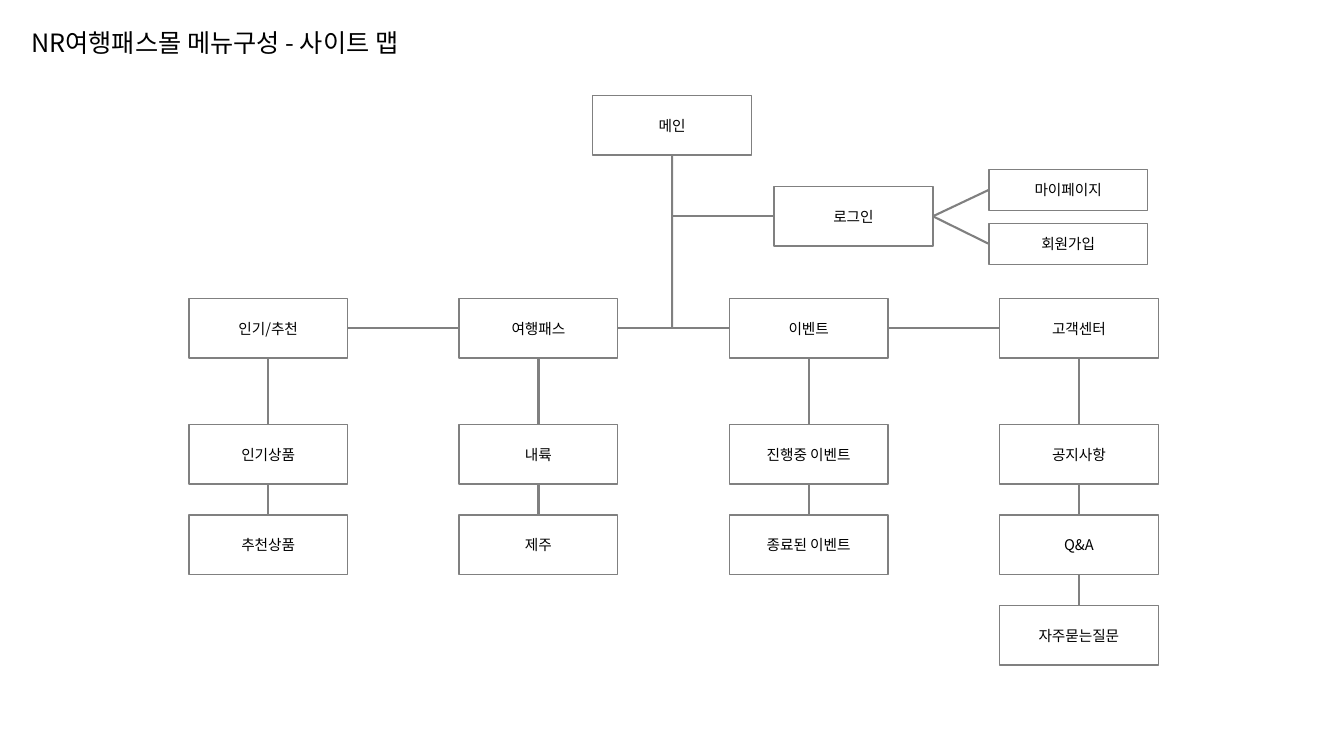
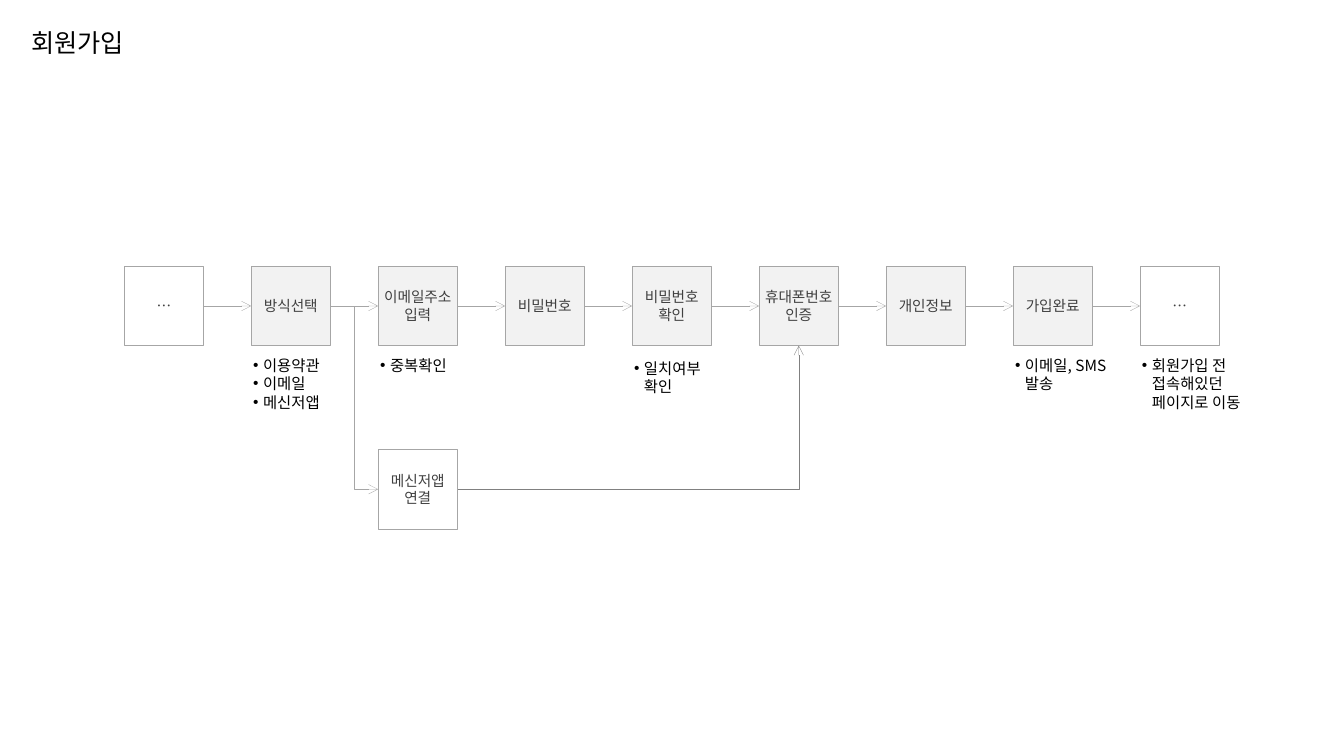
from dataclasses import dataclass
from typing import Optional

from lxml.etree import SubElement
from pptx import Presentation
from pptx.dml.color import RGBColor
from pptx.enum.shapes import MSO_CONNECTOR, MSO_SHAPE
from pptx.enum.text import MSO_ANCHOR, MSO_AUTO_SIZE, PP_ALIGN
from pptx.oxml.ns import qn
from pptx.shapes.autoshape import Shape
from pptx.shapes.connector import Connector
from pptx.slide import Slide
from pptx.util import Cm, Pt

BLACK = RGBColor(0x00, 0x00, 0x00)
WHITE = RGBColor(0xFF, 0xFF, 0xFF)
DARK = RGBColor(0x40, 0x40, 0x40)
GRAY = RGBColor(0x80, 0x80, 0x80)
SILVER = RGBColor(0xA6, 0xA6, 0xA6)
PALE = RGBColor(0xF2, 0xF2, 0xF2)

FONT = "Noto Sans CJK KR"
TOP, LEFT, BOTTOM, RIGHT = 0, 1, 2, 3
SIDES = ("margin_left", "margin_top", "margin_right", "margin_bottom")


@dataclass(frozen=True)
class Style:
    fill: RGBColor
    line: RGBColor
    weight: float
    ink: RGBColor
    frame: dict


@dataclass(frozen=True)
class Menu:
    head: str
    items: tuple[str, ...]


@dataclass(frozen=True)
class Note:
    lines: tuple[str, ...]
    width: float
    height: float
    drop: float = 0


@dataclass(frozen=True)
class Step:
    text: str
    note: Optional[Note] = None


MIDDLE = {"word_wrap": True, "vertical_anchor": MSO_ANCHOR.MIDDLE}
TIGHT = MIDDLE | dict.fromkeys(SIDES, 0)
GROW = {"word_wrap": True, "auto_size": MSO_AUTO_SIZE.SHAPE_TO_FIT_TEXT}

NODE = Style(WHITE, GRAY, 1, BLACK, MIDDLE)
OPEN = Style(WHITE, SILVER, 0.25, DARK, TIGHT)
SHADED = Style(PALE, SILVER, 0.25, DARK, TIGHT)

MENUS = (
    Menu("인기/추천", ("인기상품", "추천상품")),
    Menu("여행패스", ("내륙", "제주")),
    Menu("이벤트", ("진행중 이벤트", "종료된 이벤트")),
    Menu("고객센터", ("공지사항", "Q&A", "자주묻는질문")),
)

STEPS = (
    Step("…"),
    Step("방식선택", Note(("이용약관", "이메일", "메신저앱"), 2.39, 1.68)),
    Step("이메일주소입력", Note(("중복확인",), 2.39, 0.74)),
    Step("비밀번호"),
    Step("비밀번호\n확인", Note(("일치여부 확인",), 2.39, 1.19, 0.08)),
    Step("휴대폰번호\n인증"),
    Step("개인정보"),
    Step("가입완료", Note(("이메일, SMS 발송",), 3.2, 1.19)),
    Step("…", Note(("회원가입 전 접속해있던 페이지로 이동",), 3.4, 1.68)),
)


def assign(target: object, values: dict) -> None:
    for name, value in values.items():
        setattr(target, name, value)


def write(shape: Shape, lines: list[str], size: float, ink: RGBColor,
          frame: dict, align: PP_ALIGN = PP_ALIGN.LEFT, bullet: bool = False) -> None:
    body = shape.text_frame
    assign(body, frame)
    for index, line in enumerate(lines):
        para = body.paragraphs[0] if index == 0 else body.add_paragraph()
        para.alignment = align
        if bullet:
            props = para._p.get_or_add_pPr()
            props.set("marL", str(Cm(0.25)))
            props.set("indent", str(-Cm(0.25)))
            SubElement(props, qn("a:buFont")).set("typeface", "Arial")
            SubElement(props, qn("a:buChar")).set("char", "•")
        run = para.add_run()
        run.text = line
        assign(run.font, {"name": FONT, "size": Pt(size)})
        run.font.color.rgb = ink
        SubElement(run._r.get_or_add_rPr(), qn("a:ea")).set("typeface", FONT)


def add_text(slide: Slide, lines: list[str], left: float, top: float,
             width: float, height: float, size: float, bullet: bool = False) -> None:
    box = slide.shapes.add_textbox(Cm(left), Cm(top), Cm(width), Cm(height))
    write(box, lines, size, BLACK, GROW, bullet=bullet)


def add_box(slide: Slide, text: str, left: float, top: float,
            width: float, height: float, style: Style) -> Shape:
    box = slide.shapes.add_shape(
        MSO_SHAPE.RECTANGLE, Cm(left), Cm(top), Cm(width), Cm(height))
    box.shadow.inherit = False
    box.fill.solid()
    box.fill.fore_color.rgb = style.fill
    box.line.color.rgb = style.line
    box.line.width = Pt(style.weight)
    write(box, text.split("\n"), 10.5, style.ink, style.frame, PP_ALIGN.CENTER)
    return box


def add_link(slide: Slide, start: Optional[tuple[Shape, int]],
             end: Optional[tuple[Shape, int]], color: RGBColor, weight: float,
             points: tuple[float, ...] = (0, 0, 0, 0), arrow: bool = False,
             kind: MSO_CONNECTOR = MSO_CONNECTOR.STRAIGHT) -> Connector:
    link = slide.shapes.add_connector(kind, *map(Cm, points))
    if start:
        link.begin_connect(*start)
    if end:
        link.end_connect(*end)
    link.line.color.rgb = color
    link.line.width = Pt(weight)
    if arrow:
        SubElement(link.line._get_or_add_ln(), qn("a:tailEnd")).set("type", "arrow")
    SubElement(link._element.spPr, qn("a:effectLst"))
    slide.shapes.element.insert(2, link._element)
    return link


def add_slide(deck: Presentation, title: str) -> Slide:
    slide = deck.slides.add_slide(deck.slide_layouts[6])
    add_text(slide, [title], 0.54, 0.56, 32.44, 1.02, 18)
    return slide


def draw_map(deck: Presentation) -> None:
    slide = add_slide(deck, "NR여행패스몰 메뉴구성 - 사이트 맵")
    width, height, row = 4, 1.5, 7.52
    main = add_box(slide, "메인", 14.94, 2.41, width, height, NODE)
    login = add_box(slide, "로그인", 19.51, 4.7, width, height, NODE)
    for index, text in enumerate(("마이페이지", "회원가입")):
        page = add_box(slide, text, 24.92, 4.27 + 1.36 * index, width, 1.03, NODE)
        add_link(slide, (login, RIGHT), (page, LEFT), GRAY, 1.5)

    heads = []
    for col, menu in enumerate(MENUS):
        left = 4.76 + 6.81 * col
        head = add_box(slide, menu.head, left, row, width, height, NODE)
        items = [add_box(slide, text, left, 10.7 + 2.28 * index, width, height, NODE)
                 for index, text in enumerate(menu.items)]
        add_link(slide, (head, BOTTOM), (items[-1], BOTTOM), GRAY, 1.5)
        heads.append(head)

    axis = 14.94 + width / 2
    bus, branch = row + height / 2, 4.7 + height / 2
    add_link(slide, (heads[0], LEFT), (heads[-1], RIGHT), GRAY, 1.5)
    add_link(slide, (main, BOTTOM), None, GRAY, 1.5, (axis, bus, axis, bus))
    add_link(slide, None, (login, LEFT), GRAY, 1.5, (axis, branch, axis, branch))


def draw_flow(deck: Presentation) -> None:
    slide = add_slide(deck, "회원가입")
    first, pitch, side, top = 3.13, 3.2, 2, 6.71
    boxes = []
    for col, step in enumerate(STEPS):
        left = first + pitch * col
        style = OPEN if step.text == "…" else SHADED
        boxes.append(add_box(slide, step.text, left, top, side, side, style))
        if step.note:
            note = step.note
            add_text(slide, list(note.lines), left - 0.2, 8.84 + note.drop,
                     note.width, note.height, 11, bullet=True)
    for start, end in zip(boxes, boxes[1:]):
        add_link(slide, (start, RIGHT), (end, LEFT), SILVER, 0.25, arrow=True)

    chat = add_box(slide, "메신저앱\n연결", first + 2 * pitch, 11.33, side, side, OPEN)
    add_link(slide, (boxes[1], RIGHT), (chat, LEFT), SILVER, 0.25,
             arrow=True, kind=MSO_CONNECTOR.ELBOW)
    rise = add_link(slide, (chat, RIGHT), (boxes[5], BOTTOM), GRAY, 0.25,
                    arrow=True, kind=MSO_CONNECTOR.ELBOW)
    rise._element.spPr.find(qn("a:prstGeom")).set("prst", "bentConnector2")


def main() -> None:
    deck = Presentation()
    assign(deck, {"slide_width": Cm(33.87), "slide_height": Cm(19.05)})
    draw_map(deck)
    draw_flow(deck)
    deck.save("out.pptx")


if __name__ == "__main__":
    main()
